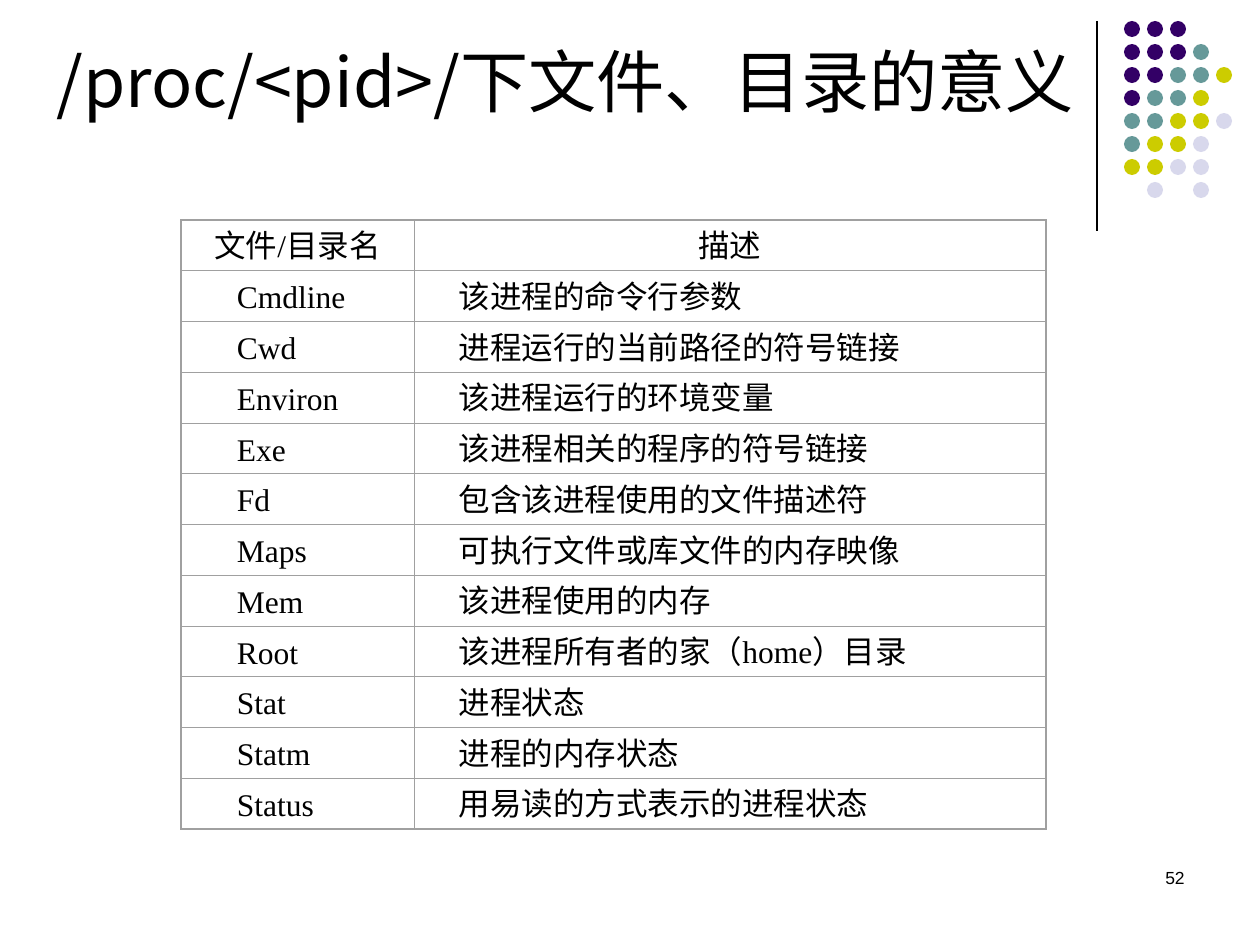
from typing import Any, NamedTuple

from lxml.etree import SubElement
from pptx import Presentation
from pptx.dml.color import RGBColor
from pptx.enum.shapes import MSO_CONNECTOR, MSO_SHAPE
from pptx.enum.text import MSO_ANCHOR, PP_ALIGN
from pptx.oxml import parse_xml
from pptx.oxml.ns import nsdecls, qn
from pptx.util import Emu, Pt

EMU_PER_PX = 914400 / 126
BLACK = "000000"
GRID_GRAY = "A0A0A0"
CJK_FONT = "Noto Sans CJK JP"
TABLE_FONT = "Times New Roman"


class Box(NamedTuple):
    left: int
    top: int
    width: int
    height: int


class TextStyle(NamedTuple):
    font: str
    size: int
    align: PP_ALIGN = PP_ALIGN.LEFT
    anchor: MSO_ANCHOR = MSO_ANCHOR.TOP


class FileEntry(NamedTuple):
    name: str
    meaning: str


HEADER = FileEntry("文件/目录名", "描述")
ENTRIES = [
    FileEntry("Cmdline", "该进程的命令行参数"),
    FileEntry("Cwd", "进程运行的当前路径的符号链接"),
    FileEntry("Environ", "该进程运行的环境变量"),
    FileEntry("Exe", "该进程相关的程序的符号链接"),
    FileEntry("Fd", "包含该进程使用的文件描述符"),
    FileEntry("Maps", "可执行文件或库文件的内存映像"),
    FileEntry("Mem", "该进程使用的内存"),
    FileEntry("Root", "该进程所有者的家（home）目录"),
    FileEntry("Stat", "进程状态"),
    FileEntry("Statm", "进程的内存状态"),
    FileEntry("Status", "用易读的方式表示的进程状态"),
]
TABLE_BOX = Box(181, 220, 865, 609)
COLUMN_WIDTHS = (233, 632)
COLUMN_INDENTS = (56, 45)

DOT_COLORS = {"P": "330066", "T": "669999", "Y": "CCCC00", "L": "D8D8EC"}
DOT_ROWS = ("PPP", "PPPT", "PPTTY", "PTTY", "TTYYL", "TYYL", "YYLL", " L L")
DOT_LEFT, DOT_TOP, DOT_PITCH, DOT_SIZE = 1124, 21, 23, 16


def px(length: int) -> Emu:
    return Emu(round(length * EMU_PER_PX))


def color(value: str) -> RGBColor:
    return RGBColor.from_string(value)


def write(frame: Any, text: str, style: TextStyle) -> None:
    frame.text = text
    frame.word_wrap = True
    paragraph = frame.paragraphs[0]
    paragraph.alignment = style.align
    span = paragraph.runs[0]
    span.font.name = style.font
    span.font.size = Pt(style.size)
    span.font.color.rgb = color(BLACK)
    SubElement(span.font._element, qn("a:ea"), typeface=CJK_FONT)


def add_text(page: Any, box: Box, text: str, style: TextStyle) -> None:
    frame = page.shapes.add_textbox(*map(px, box)).text_frame
    write(frame, text, style)
    frame.vertical_anchor = style.anchor


def add_divider(page: Any) -> None:
    line = page.shapes.add_connector(
        MSO_CONNECTOR.STRAIGHT, px(1097), px(21), px(1097), px(231)
    )
    line.line.color.rgb = color(BLACK)
    line.line.width = Pt(0.75)
    SubElement(line._element.spPr, qn("a:effectLst"))


def add_dots(page: Any) -> None:
    for row, pattern in enumerate(DOT_ROWS):
        for column, key in enumerate(pattern):
            if key == " ":
                continue
            box = Box(DOT_LEFT + column * DOT_PITCH, DOT_TOP + row * DOT_PITCH,
                      DOT_SIZE, DOT_SIZE)
            dot = page.shapes.add_shape(MSO_SHAPE.OVAL, *map(px, box))
            dot.shadow.inherit = False
            dot.fill.solid()
            dot.fill.fore_color.rgb = color(DOT_COLORS[key])
            dot.line.fill.background()


def set_borders(cell: Any, outer_sides: set[str]) -> None:
    properties = cell._tc.get_or_add_tcPr()
    for index, side in enumerate("LRTB"):
        width = Pt(0.75 if side in outer_sides else 0.5)
        border = parse_xml(
            f'<a:ln{side} {nsdecls("a")} w="{width}"><a:solidFill>'
            f'<a:srgbClr val="{GRID_GRAY}"/></a:solidFill></a:ln{side}>'
        )
        properties.insert(index, border)


def add_file_table(page: Any) -> None:
    rows = [HEADER, *ENTRIES]
    table = page.shapes.add_table(
        len(rows), len(COLUMN_WIDTHS), *map(px, TABLE_BOX)
    ).table
    table.first_row = table.horz_banding = False
    for column, width in zip(table.columns, COLUMN_WIDTHS):
        column.width = px(width)
    for row, entry in enumerate(rows):
        is_header = row == 0
        align = PP_ALIGN.CENTER if is_header else PP_ALIGN.LEFT
        for column, text in enumerate(entry):
            cell = table.cell(row, column)
            write(cell.text_frame, text, TextStyle(TABLE_FONT, 18, align))
            cell.margin_left = px(0 if is_header else COLUMN_INDENTS[column])
            cell.margin_right = cell.margin_bottom = 0
            cell.margin_top = px(10 if text.isascii() else 1)
            cell.fill.background()
            outer_sides = {"L" if column == 0 else "R"}
            if is_header:
                outer_sides.add("T")
            if row == len(rows) - 1:
                outer_sides.add("B")
            set_borders(cell, outer_sides)


def main() -> None:
    deck = Presentation()
    deck.slide_width, deck.slide_height = px(1260), px(945)
    page = deck.slides.add_slide(deck.slide_layouts[6])
    add_divider(page)
    add_dots(page)
    add_text(page, Box(903, 861, 294, 63), "52",
             TextStyle("Arial", 10, PP_ALIGN.RIGHT))
    add_text(page, Box(44, 26, 1113, 109), "/proc/<pid>/下文件、目录的意义",
             TextStyle(CJK_FONT, 39, anchor=MSO_ANCHOR.MIDDLE))
    add_file_table(page)
    deck.save("out.pptx")


if __name__ == "__main__":
    main()
